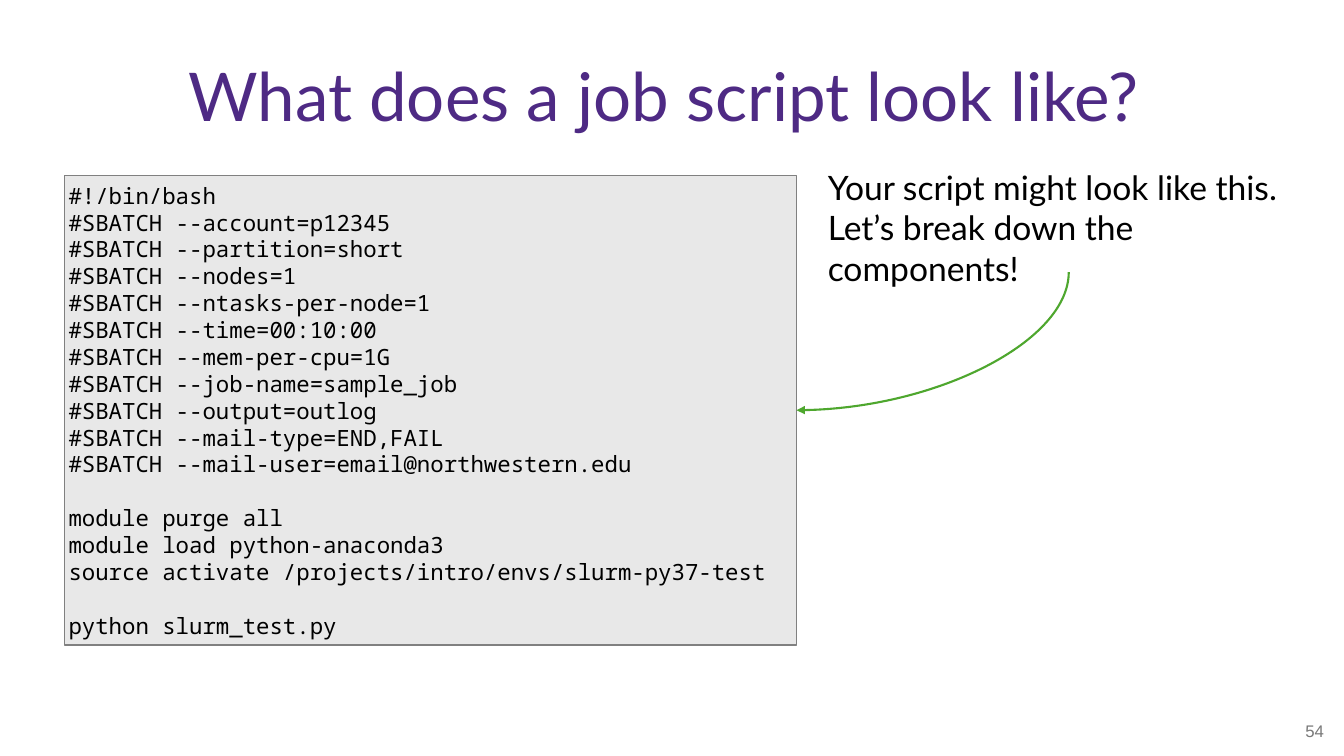
import pptx
import pptx.util
import pptx.dml.color
import pptx.enum.shapes
import pptx.enum.text
import pptx.oxml
import pptx.oxml.ns

Inches, Pt = pptx.util.Inches, pptx.util.Pt
ALIGN = pptx.enum.text.PP_ALIGN

TITLE = "What does a job script look like? "
JOB_SCRIPT = [
    "#!/bin/bash",
    "#SBATCH --account=p12345",
    "#SBATCH --partition=short",
    "#SBATCH --nodes=1",
    "#SBATCH --ntasks-per-node=1",
    "#SBATCH --time=00:10:00",
    "#SBATCH --mem-per-cpu=1G",
    "#SBATCH --job-name=sample_job",
    "#SBATCH --output=outlog",
    "#SBATCH --mail-type=END,FAIL",
    "#SBATCH --mail-user=email@northwestern.edu",
    "",
    "module purge all",
    "module load python-anaconda3",
    "source activate /projects/intro/envs/slurm-py37-test",
    "",
    "python slurm_test.py",
]
COMMENTS = ["Your script might look like this.", "Let’s break down the components!"]
PAGE = "54"

TITLE_BOX = (0.22, 0.15, 12.89, 1.67)
CODE_BOX = (0.64, 1.74, 7.26, 4.66)
COMMENT_BOX = (8.17, 1.61, 4.87, 1.29)
PAGE_BOX = (10.12, 7.05, 3.11, 0.4)
ARROW_START = (10.6, 2.7)


def color(value):
    return pptx.dml.color.RGBColor.from_string(value)


def write(sp, lines, font, size, ink, align=ALIGN.LEFT, spacing=None, inset=None):
    """Fill a shape with one paragraph per line, centred vertically."""
    tf = sp.text_frame
    tf.word_wrap = True
    tf.auto_size = pptx.enum.text.MSO_AUTO_SIZE.NONE
    tf.vertical_anchor = pptx.enum.text.MSO_ANCHOR.MIDDLE
    if inset is not None:
        tf.margin_left = tf.margin_top = tf.margin_right = tf.margin_bottom = Inches(inset)
    for i, line in enumerate(lines):
        p = tf.paragraphs[0] if i == 0 else tf.add_paragraph()
        p.alignment = align
        if spacing:
            p.line_spacing = spacing
        p.font.size = Pt(size)
        p.font.name = font
        if line:
            r = p.add_run()
            r.text = line
            r.font.name = font
            r.font.size = Pt(size)
            r.font.color.rgb = color(ink)


def add_curved_arrow(s, start, end, ink):
    """Draw a quarter curve that leaves downwards and arrives leftwards."""
    (x1, y1), (x2, y2) = start, end
    # The preset starts horizontally, so its box is laid out before a 90° turn.
    w, h = y2 - y1, x1 - x2
    left, top = (x1 + x2 - w) / 2, (y1 + y2 - h) / 2
    c = s.shapes.add_connector(
        pptx.enum.shapes.MSO_CONNECTOR.CURVE,
        Inches(left), Inches(top), Inches(left + w), Inches(top + h))
    c.line.color.rgb = color(ink)
    c.line.width = Pt(1.5)
    qn = pptx.oxml.ns.qn
    spPr = c._element.spPr
    spPr.find(qn("a:xfrm")).set("rot", str(90 * 60000))
    spPr.find(qn("a:prstGeom")).set("prst", "curvedConnector2")
    ns = pptx.oxml.ns.nsdecls("a")
    c.line._get_or_add_ln().append(
        pptx.oxml.parse_xml(f'<a:tailEnd {ns} type="triangle"/>'))
    spPr.append(pptx.oxml.parse_xml(f"<a:effectLst {ns}/>"))


def main():
    prs = pptx.Presentation()
    prs.slide_width, prs.slide_height = Inches(13.33), Inches(7.5)
    s = prs.slides.add_slide(prs.slide_layouts[5])

    page = s.shapes.add_textbox(*map(Inches, PAGE_BOX))
    write(page, [PAGE], "Arial", 12, "797979", ALIGN.RIGHT)

    title = s.shapes.title
    title.left, title.top, title.width, title.height = map(Inches, TITLE_BOX)
    write(title, [TITLE], "Lato", 48, "4E2A84", ALIGN.CENTER, 0.9)

    code = s.shapes.add_shape(
        pptx.enum.shapes.MSO_SHAPE.RECTANGLE, *map(Inches, CODE_BOX))
    code.shadow.inherit = False
    code.fill.solid()
    code.fill.fore_color.rgb = color("E8E8E8")
    code.line.color.rgb = color("808080")
    code.line.width = Pt(1)
    write(code, JOB_SCRIPT, "Noto Sans Mono", 16, "000000", spacing=Pt(19.2), inset=0.04)

    comment = s.shapes.add_textbox(*map(Inches, COMMENT_BOX))
    write(comment, COMMENTS, "Lato", 24, "000000", inset=0.04)

    left, top, width, height = CODE_BOX
    add_curved_arrow(s, ARROW_START, (left + width, top + height / 2), "4EA72E")

    prs.save("out.pptx")


if __name__ == "__main__":
    main()
